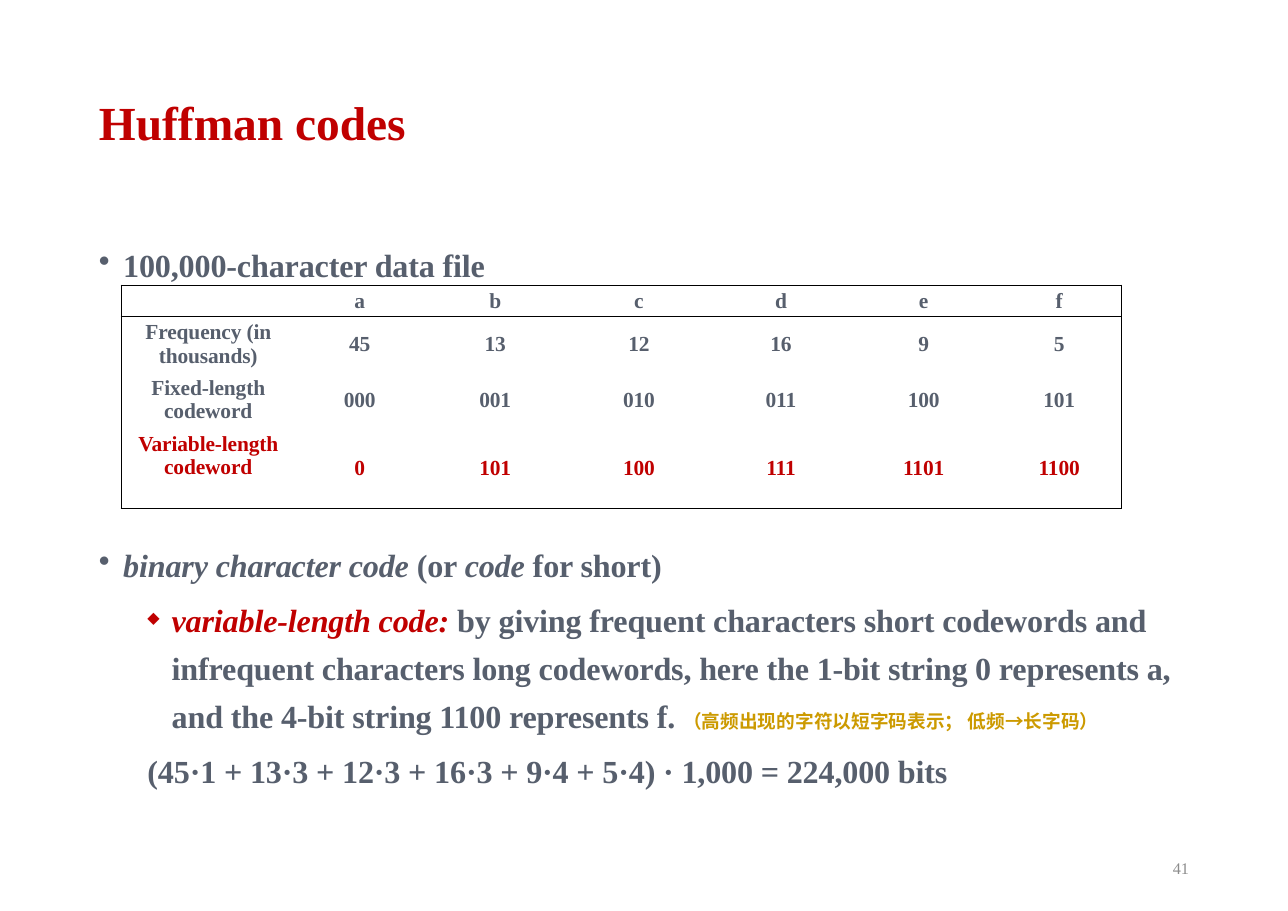
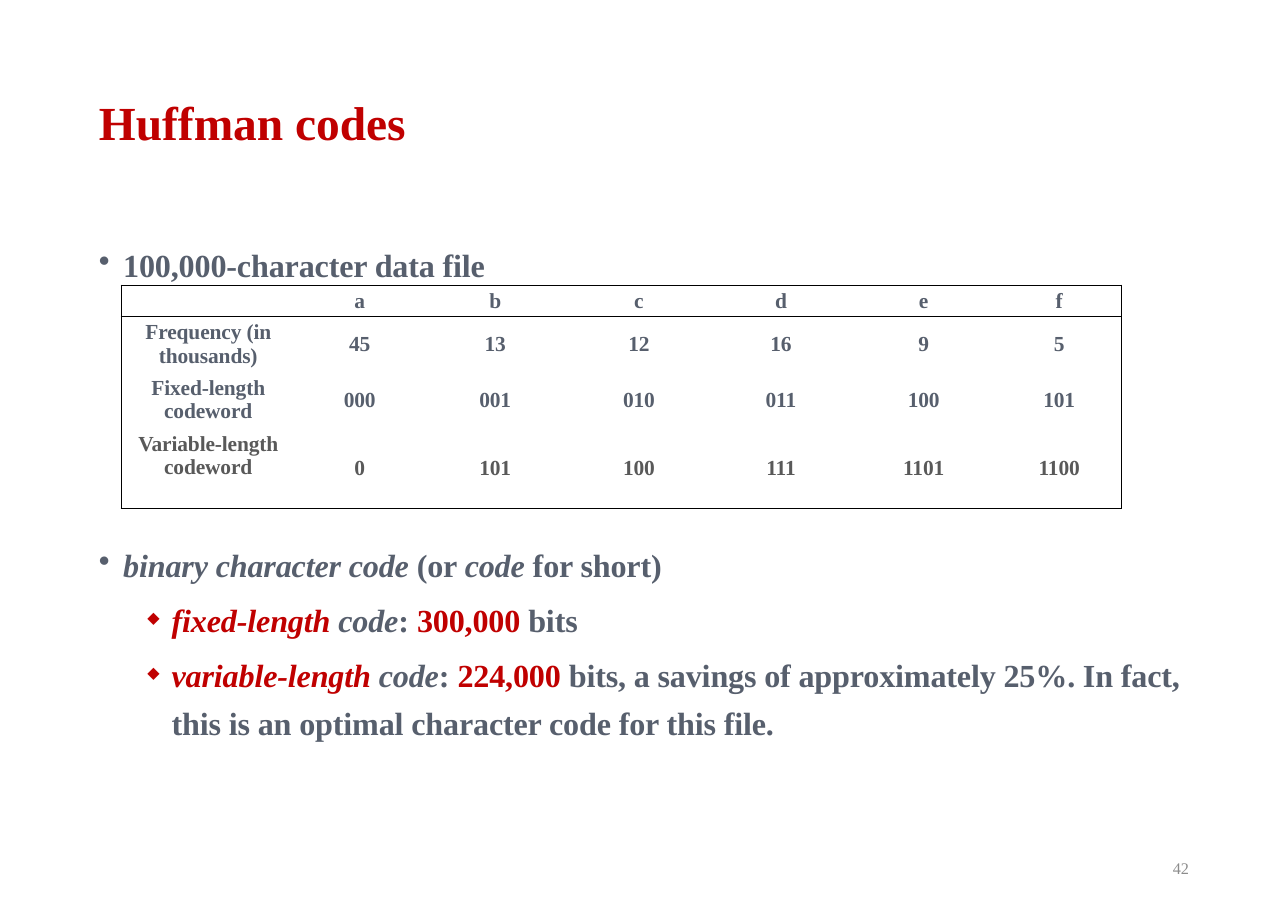
from dataclasses import dataclass

from lxml import etree
from pptx import Presentation
from pptx.dml.color import RGBColor
from pptx.enum import text as en
from pptx.oxml.ns import qn
from pptx.util import Inches, Pt

SERIF, CJK = "Times New Roman", "Noto Sans CJK JP"
SLATE, RED, GOLD = "575F6D", "C00000", "CC9A00"
GREY, DARK, BLACK = "8C8C8C", "595959", "000000"
MIDDLE = en.MSO_ANCHOR.MIDDLE
COLS = [1.58, 1.17, 1.29, 1.32, 1.26, 1.33, 1.13]
ROWS = [0.28, 0.49, 0.49, 0.73]
CODES = [
    ["", "a", "b", "c", "d", "e", "f"],
    ["Frequency (in thousands)", "45", "13", "12", "16", "9", "5"],
    ["Fixed-length codeword", "000", "001", "010", "011", "100", "101"],
    ["Variable-length codeword", "0", "101", "100", "111", "1101", "1100"],
]


@dataclass
class Span:
    text: str
    color: str = SLATE
    italic: bool = False
    size: float = 21
    bold: bool = True
    face: str = SERIF
    track: int = -10
    rise: int = 0


@dataclass
class Para:
    spans: list[Span]
    left: float = 0.22
    hang: float = 0.22
    before: float = 8.8
    mark: str = ""
    scale: int = 100


def bullet(*spans: Span, before: float = 8.8) -> Para:
    return Para(list(spans), before=before, mark="•")


def item(*spans: Span) -> Para:
    return Para(list(spans), left=0.66, before=4.4, mark="◆", scale=50)


def rgb(code: str) -> RGBColor:
    return RGBColor.from_string(code)


def style(run, span: Span) -> None:
    font = run.font
    font.name, font.size = span.face, Pt(span.size)
    font.bold, font.italic = span.bold, span.italic
    font.color.rgb = rgb(span.color)
    props = run._r.get_or_add_rPr()
    props.set("spc", str(span.track))
    if span.rise:
        props.set("baseline", str(span.rise))
    etree.SubElement(props, qn("a:ea")).set("typeface", span.face)


def write(para, spans: list[Span]) -> None:
    for span in spans:
        run = para.add_run()
        run.text = span.text
        style(run, span)


def fill(para, data: Para) -> None:
    """Lay out one body paragraph with its bullet."""
    para.line_spacing, para.space_before = 1.25, Pt(data.before)
    props = para._p.get_or_add_pPr()
    props.set("marL", str(Inches(data.left)))
    props.set("indent", str(-Inches(data.hang)))
    if data.mark:
        size = etree.SubElement(props, qn("a:buSzPct"))
        size.set("val", str(data.scale * 1000))
        etree.SubElement(props, qn("a:buChar")).set("char", data.mark)
    write(para, data.spans)


def box(slide, left: float, top: float, wide: float, high: float,
        anchor=en.MSO_ANCHOR.TOP):
    frame = slide.shapes.add_textbox(
        Inches(left), Inches(top), Inches(wide), Inches(high)).text_frame
    frame.word_wrap, frame.vertical_anchor = True, anchor
    return frame


def edge(cell, drawn: dict[str, bool]) -> None:
    """Draw the sides marked true and clear the others."""
    props = cell._tc.get_or_add_tcPr()
    for side, shown in drawn.items():
        line = etree.SubElement(props, qn(f"a:ln{side}"))
        line.set("w", str(Pt(1)))
        if shown:
            paint = etree.SubElement(line, qn("a:solidFill"))
            etree.SubElement(paint, qn("a:srgbClr")).set("val", BLACK)
        else:
            etree.SubElement(line, qn("a:noFill"))


def grid(slide, accent: str) -> None:
    """Add the code table, its last row in the accent colour."""
    table = slide.shapes.add_table(
        len(ROWS), len(COLS), Inches(1.1), Inches(2.59),
        Inches(sum(COLS)), Inches(sum(ROWS))).table
    table.first_row = table.horz_banding = False
    for col, wide in zip(table.columns, COLS):
        col.width = Inches(wide)
    last, end = len(ROWS) - 1, len(COLS) - 1
    for r, (row, high) in enumerate(zip(table.rows, ROWS)):
        row.height = Inches(high)
        for c, cell in enumerate(row.cells):
            cell.vertical_anchor = MIDDLE
            cell.margin_left = cell.margin_right = Inches(0.07)
            cell.margin_top = Inches(0.02)
            raised = r == last and c == 0
            cell.margin_bottom = Inches(0.24 if raised else 0.02)
            edge(cell, {"L": c == 0, "R": c == end,
                        "T": r < 2, "B": r in (0, last)})
            cell.fill.background()
            para = cell.text_frame.paragraphs[0]
            para.alignment = en.PP_ALIGN.CENTER
            if CODES[r][c]:
                color = accent if r == last else SLATE
                write(para, [Span(CODES[r][c], color, size=14)])
            else:
                tail = etree.SubElement(para._p, qn("a:endParaRPr"))
                tail.set("sz", "1400")


def page(deck, number: int, accent: str, points: list[Para]) -> None:
    slide = deck.slides.add_slide(deck.slide_layouts[6])
    foot = box(slide, 8.26, 7.66, 2.63, 0.44, MIDDLE).paragraphs[0]
    foot.alignment = en.PP_ALIGN.RIGHT
    write(foot, [Span(str(number), GREY, size=10.6, bold=False, track=0)])
    title = box(slide, 0.8, 0.49, 10.02, 1.3, MIDDLE).paragraphs[0]
    title.line_spacing = 0.9
    write(title, [Span("Huffman codes", RED, size=31, track=0)])
    body = box(slide, 0.8, 2.09, 10.02, 5.27)
    for i, data in enumerate(INTRO + points):
        fill(body.add_paragraph() if i else body.paragraphs[0], data)
    grid(slide, accent)


INTRO = [
    bullet(Span("100,000-character data file")),
    bullet(Span("binary character code ", italic=True), Span("(or "),
           Span("code", italic=True), Span(" for short)"), before=164.8),
]
COST = [
    item(Span("variable-length code: ", RED, True),
         Span("by giving frequent characters short codewords and infrequent "
              "characters long codewords, here the 1-bit string 0 represents "
              "a, and the 4-bit string 1100 represents f. "),
         Span("（高频出现的字符以短字码表示； 低频→长字码）", GOLD,
              face=CJK, track=10, rise=2000)),
    Para([Span("(45·1 + 13·3 + 12·3 + 16·3 + 9·4 + 5·4) · 1,000 "
               "= 224,000 bits")], left=0.44, hang=0, before=4.4),
]
SAVING = [
    item(Span("fixed-length", RED, True), Span(" code", italic=True),
         Span(": "), Span("300,000", RED), Span(" bits")),
    item(Span("variable-length ", RED, True), Span("code", italic=True),
         Span(": "), Span("224,000", RED),
         Span(" bits, a savings of approximately 25%. In fact, this is an "
              "optimal character code for this file.")),
]


def main() -> None:
    deck = Presentation()
    deck.slide_width, deck.slide_height = Inches(11.69), Inches(8.27)
    page(deck, 41, RED, COST)
    page(deck, 42, DARK, SAVING)
    deck.save("out.pptx")


if __name__ == "__main__":
    main()
